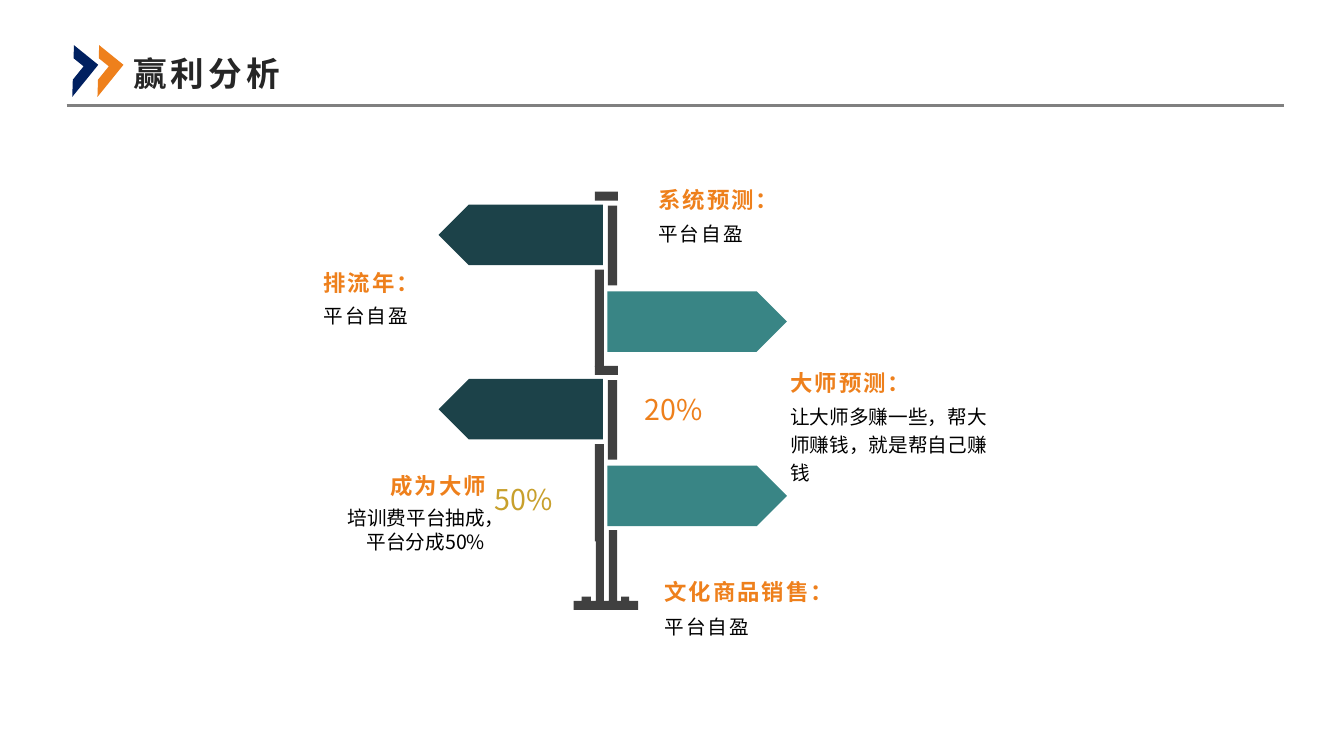
import pptx
import pptx.util
import pptx.dml.color
import pptx.enum.shapes
import pptx.enum.text
import pptx.oxml.ns
import lxml.etree

SHAPES = pptx.enum.shapes.MSO_SHAPE
ALIGN = pptx.enum.text.PP_ALIGN
ANCHOR = pptx.enum.text.MSO_ANCHOR
COLUMNS, ROWS = 133.3, 75


def colour(value):
    return pptx.dml.color.RGBColor.from_string(value)


def write(box, text, size=14, font="Noto Sans CJK SC", ink="000000", bold=False,
          tracking=0, leading=1.2, align=ALIGN.LEFT, anchor=ANCHOR.TOP,
          insets=(0.1, 0, 0.1, 0.05)):
    frame = box.text_frame
    frame.word_wrap = True
    frame.auto_size = pptx.enum.text.MSO_AUTO_SIZE.NONE
    frame.vertical_anchor = anchor
    (frame.margin_left, frame.margin_top,
     frame.margin_right, frame.margin_bottom) = map(pptx.util.Inches, insets)
    para = frame.paragraphs[0]
    para.alignment = align
    para.line_spacing = leading
    span = para.add_run()
    span.text = text
    span.font.size = pptx.util.Pt(size)
    span.font.name = font
    span.font.bold = bold
    span.font.color.rgb = colour(ink)
    properties = span.font._element
    properties.set("spc", str(int(tracking * 100)))
    east_asian = lxml.etree.SubElement(properties, pptx.oxml.ns.qn("a:ea"))
    east_asian.set("typeface", "Noto Sans CJK SC")


class Signpost:
    orange, navy, gold = "EE801C", "002060", "C8A02C"
    dark, teal, steel, grey = "1C4249", "398585", "404040", "808080"

    def __init__(self, deck):
        self.page = deck.slides.add_slide(deck.slide_layouts[5])
        self.column = deck.slide_width / COLUMNS
        self.row = deck.slide_height / ROWS

    def area(self, left, top, width, height):
        return (int(left * self.column), int(top * self.row),
                int(width * self.column), int(height * self.row))

    def paint(self, shape, fill):
        shape.shadow.inherit = False
        shape.fill.solid()
        shape.fill.fore_color.rgb = colour(fill)
        shape.line.fill.background()

    def title(self, text, area):
        box = self.page.shapes.title
        box.left, box.top, box.width, box.height = self.area(*area)
        write(box, text, size=24, font="Arial", ink="262626", bold=True, tracking=3,
              leading=1, anchor=ANCHOR.MIDDLE, insets=(0.1, 0.05, 0.1, 0.05))

    def shape(self, kind, area, fill, turn=0):
        shape = self.page.shapes.add_shape(kind, *self.area(*area))
        shape.rotation = turn
        self.paint(shape, fill)

    def outline(self, points, fill):
        corners = [self.area(*point, 0, 0)[:2] for point in points]
        builder = self.page.shapes.build_freeform(*corners[0])
        builder.add_line_segments(corners[1:], close=True)
        self.paint(builder.convert_to_shape(), fill)

    def rule(self, left, right, row, ink, weight):
        x, y, length, _ = self.area(left, row, right - left, 0)
        line = self.page.shapes.add_connector(
            pptx.enum.shapes.MSO_CONNECTOR.STRAIGHT, x, y, x + length, y)
        line.line.color.rgb = colour(ink)
        line.line.width = pptx.util.Pt(weight)
        lxml.etree.SubElement(line._element.spPr, pptx.oxml.ns.qn("a:effectLst"))

    def text(self, text, area, **style):
        write(self.page.shapes.add_textbox(*self.area(*area)), text, **style)

    def label(self, heading, detail, heading_area, detail_area, align=ALIGN.LEFT, **style):
        self.text(detail, detail_area, align=align, **style)
        self.text(heading, heading_area, size=16, ink=self.orange, bold=True, tracking=1.5,
                  align=align, anchor=ANCHOR.MIDDLE, insets=(0.1, 0.05, 0.1, 0))

    def section(self, top):
        for left, drop, width, height in ((59, 0, 2.3, 0.9), (60.3, 1.4, 0.9, 7.9),
                                          (59, 7.75, 0.9, 9.65)):
            self.shape(SHAPES.RECTANGLE, (left, top + drop, width, height), self.steel)
        self.shape(SHAPES.PENTAGON, (43.5, top + 1.3, 16.3, 6), self.dark, turn=180)
        self.shape(SHAPES.PENTAGON, (60.25, top + 9.9, 17.8, 6), self.teal)


def main():
    deck = pptx.Presentation()
    deck.slide_width = pptx.util.Inches(13.33)
    deck.slide_height = pptx.util.Inches(7.5)
    sign = Signpost(deck)

    sign.title("赢利分析", (12.2, 3.4, 22.3, 7.7))
    sign.rule(6.6, 127.3, 10.5, sign.grey, 2.25)
    for left, fill in ((5.2, sign.navy), (7.7, sign.orange)):
        sign.shape(SHAPES.HALF_FRAME, (left, 5.5, 4.1, 3.1), fill, turn=129)

    sign.outline([(62.4, 59.6), (62.4, 59.2), (61.6, 59.2), (61.6, 59.6), (61.2, 59.6),
                  (61.2, 52.6), (60.4, 52.6), (60.4, 59.6), (59.9, 59.6), (59.9, 53.6),
                  (59.1, 53.6), (59.1, 59.6), (58.6, 59.6), (58.6, 59.2), (57.7, 59.2),
                  (57.7, 59.6), (56.9, 59.6), (56.9, 60.5), (63.3, 60.5), (63.3, 59.6)],
                 sign.steel)
    for top in (19, 36.3):
        sign.section(top)

    sign.text("50%", (49.1, 46.4, 10.7, 5.5), size=20.4, ink=sign.gold,
              insets=(0, 0.07, 0.07, 0.07))
    sign.text("20%", (59, 38.2, 10.7, 4.7), size=20.4, ink=sign.orange,
              align=ALIGN.RIGHT, insets=(0, 0, 0, 0))

    for heading, left, top, detail_top in (("系统预测：", 64.3, 17.3, 21.6),
                                           ("排流年：", 31.1, 25.6, 29.7),
                                           ("文化商品销售：", 64.9, 56.2, 60.5)):
        sign.label(heading, "平台自盈", (left, top, 25.1, 3.9),
                   (left, detail_top, 22.9, 3.9), tracking=1.5)
    sign.label("大师预测：", "让大师多赚一些，帮大师赚钱，就是帮自己赚钱",
               (77.4, 35.5, 23.7, 3.8), (77.4, 39.7, 21.7, 14))
    sign.label("成为大师", "培训费平台抽成，平台分成50%",
               (31.1, 45.7, 18.1, 3.9), (33.4, 50.2, 15.7, 6),
               align=ALIGN.RIGHT, leading=1)

    deck.save("out.pptx")


if __name__ == "__main__":
    main()
